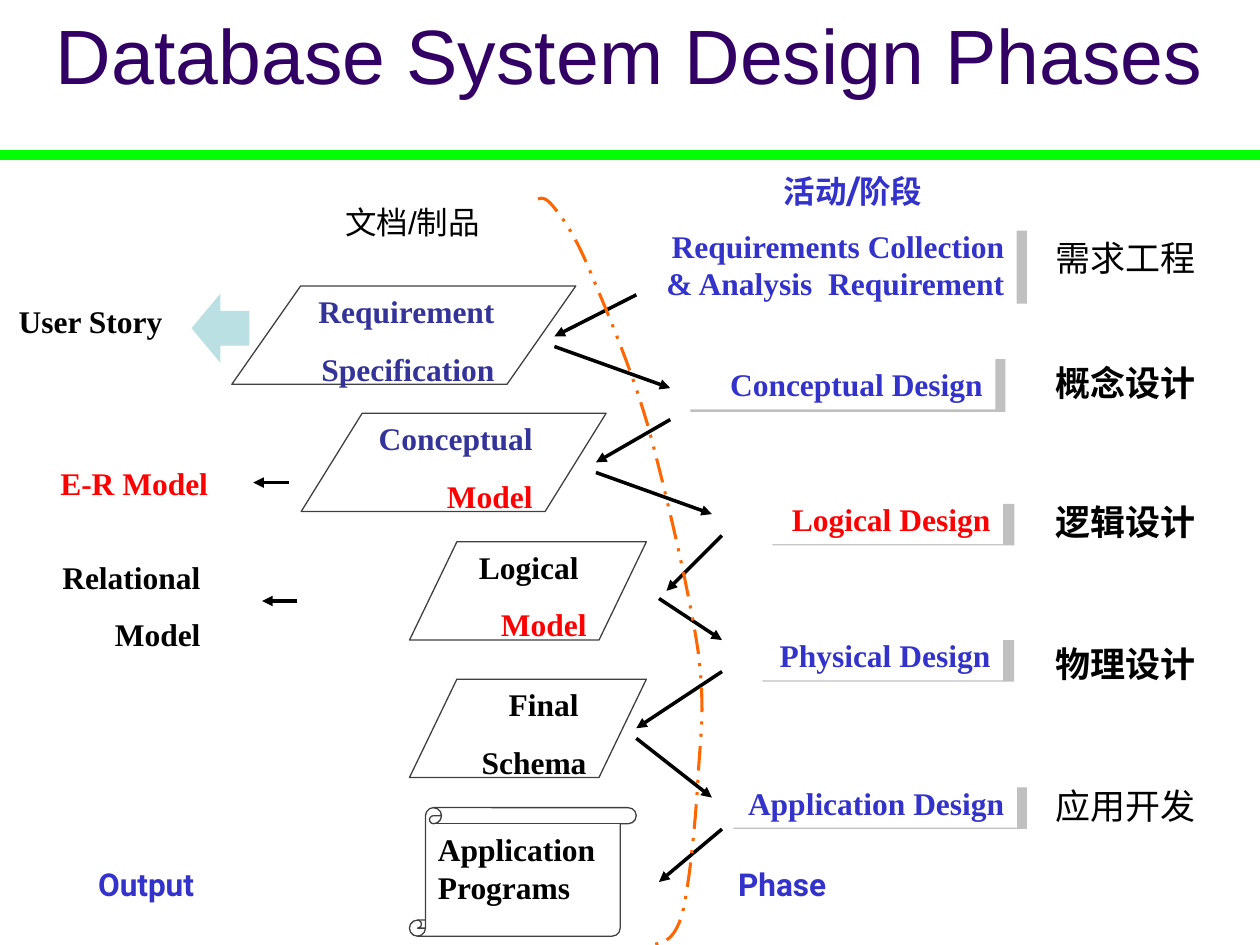
from dataclasses import dataclass

from lxml import etree
from pptx import Presentation
from pptx.dml.color import RGBColor
from pptx.enum.dml import MSO_LINE
from pptx.enum.shapes import MSO_CONNECTOR, MSO_SHAPE
from pptx.enum.text import MSO_ANCHOR, PP_ALIGN
from pptx.oxml.ns import qn
from pptx.util import Inches, Pt

LEFT, MID, RIGHT = PP_ALIGN.LEFT, PP_ALIGN.CENTER, PP_ALIGN.RIGHT
TOP, CENTER = MSO_ANCHOR.TOP, MSO_ANCHOR.MIDDLE
RECT, SCROLL = MSO_SHAPE.RECTANGLE, MSO_SHAPE.VERTICAL_SCROLL
DATA, BACK = MSO_SHAPE.FLOWCHART_DATA, MSO_SHAPE.LEFT_ARROW
STRAIGHT, DASHES = MSO_CONNECTOR.STRAIGHT, MSO_LINE.DASH_DOT_DOT


@dataclass(frozen=True)
class Theme:
    title: str = "320064"
    blue: str = "3333CC"
    navy: str = "333399"
    red: str = "FF0000"
    black: str = "000000"
    white: str = "FFFFFF"
    gray: str = "C0C0C0"
    edge: str = "404040"
    green: str = "00FF00"
    orange: str = "FF6600"
    aqua: str = "BBE0E3"
    serif: str = "Times New Roman"
    sans: str = "Arial"
    label: str = "Roboto"
    head: str = "Montserrat"
    big: int = 44
    mid: int = 20
    body: int = 18
    gap: float = 11.2


T = Theme()


def rgb(code):
    return RGBColor.from_string(code)


def write(shape, lines, font=T.serif, size=T.body, bold=True, align=LEFT,
          anchor=TOP, gap=0):
    """Fill a shape with (text, colour) lines, one paragraph each."""
    frame = shape.text_frame
    frame.word_wrap = True
    frame.vertical_anchor = anchor
    for i, (text, color) in enumerate(lines):
        para = frame.add_paragraph() if i else frame.paragraphs[0]
        para.text = text
        para.alignment = align
        if i and gap:
            para.space_before = Pt(gap)
        para.font.name, para.font.size = font, Pt(size)
        para.font.bold, para.font.color.rgb = bold, rgb(color)


def label(slide, box, lines, **style):
    write(slide.shapes.add_textbox(*map(Inches, box)), lines, **style)


def block(slide, kind, box, fill=None, edge=None):
    shape = slide.shapes.add_shape(kind, *map(Inches, box))
    shape.shadow.inherit = False
    if fill:
        shape.fill.solid()
        shape.fill.fore_color.rgb = rgb(fill)
    else:
        shape.fill.background()
    if edge:
        shape.line.color.rgb = rgb(edge)
        shape.line.width = Pt(0.75)
    else:
        shape.line.fill.background()
    return shape


def rule(slide, ends, color, width, arrow=False):
    line = slide.shapes.add_connector(STRAIGHT, *map(Inches, ends))
    line.line.color.rgb = rgb(color)
    line.line.width = Pt(width)
    if arrow:
        stroke = line.line._get_or_add_ln()
        etree.SubElement(stroke, qn("a:tailEnd"), type="triangle")
    etree.SubElement(line._element.spPr, qn("a:effectLst"))


def header(slide, box):
    x, y, w, h = box
    rule(slide, (x, y + 1.18, x + w, y + 1.18), T.green, 6.25)
    label(slide, box, [("Database System Design Phases", T.title)],
          font=T.sans, size=T.big, bold=False, align=MID, anchor=CENTER)


def phase(slide, box, shade, text, color):
    """Place a white card over a gray one; shade is dx, dy, width, height."""
    x, y = box[:2]
    dx, dy, w, h = shade
    block(slide, RECT, (x + dx, y + dy, w, h), T.gray)
    card = block(slide, RECT, box, T.white)
    write(card, [(text, color)], align=RIGHT)


def phases(slide, box):
    x, y, w, h = box
    rows = (
        (0.07, 0.43, 3, 0.7, (0.08, 0.08, 3, 0.58),
         "Requirements Collection & Analysis  Requirement", T.blue),
        (0.4, 1.53, 2.5, 0.4, (0.08, 0, 2.5, 0.42),
         "Conceptual Design", T.blue),
        (0.96, 2.6, 2, 0.4, (0.17, 0.08, 1.92, 0.33),
         "Logical Design", T.red),
        (0.96, 3.68, 2, 0.4, (0.09, 0.08, 2, 0.33),
         "Physical Design", T.blue),
        (0.75, 4.85, 2.32, 0.4, (0.07, 0.08, 2.33, 0.33),
         "Application Design", T.blue),
    )
    for dx, dy, wide, high, shade, text, color in rows:
        phase(slide, (x + dx, y + dy, wide, high), shade, text, color)
    label(slide, (x + 0.48, y, 2.58, 0.4), [("活动/阶段", T.blue)],
          font=T.head, align=MID)
    label(slide, (x + 0.76, y + h - 0.4, 2.11, 0.4), [("Phase", T.blue)],
          font=T.label)
    names = ((0.51, "需求工程", False), (1.5, "概念设计", True),
             (2.6, "逻辑设计", True), (3.73, "物理设计", True),
             (4.86, "应用开发", False))
    for dy, text, bold in names:
        label(slide, (x + w - 1.72, y + dy, 1.5, 0.44), [(text, T.black)],
              font=T.sans, size=T.mid, bold=bold)


def flow(slide, box):
    """Draw the arrows that zigzag between phases and documents."""
    x, y = box[:2]
    steps = (
        (0.65, 0, 0, 0.33), (0, 0.41, 0.92, 0.74),
        (0.92, 0.99, 0.33, 1.33), (0.33, 1.41, 1.25, 1.74),
        (1.33, 1.91, 0.89, 2.35), (0.83, 2.41, 1.33, 2.74),
        (1.33, 2.99, 0.65, 3.44), (0.65, 3.52, 1.25, 3.99),
        (1.33, 4.24, 0.83, 4.66),
    )
    for x1, y1, x2, y2 in steps:
        rule(slide, (x + x1, y + y1, x + x2, y + y2), T.black, 2, True)


def divide(slide, box):
    """Draw the dashed curve, sampled from joined cubic arcs."""
    x, y = box[:2]
    knots = (
        (0, 0.02), (0.03, 0.01), (0.06, 0), (0.13, 0.09),
        (0.2, 0.18), (0.28, 0.28), (0.4, 0.56),
        (0.52, 0.85), (0.72, 1.3), (0.87, 1.81),
        (1.01, 2.32), (1.2, 3.13), (1.27, 3.6),
        (1.33, 4.07), (1.29, 4.26), (1.27, 4.62),
        (1.25, 4.97), (1.2, 5.49), (1.14, 5.71),
        (1.07, 5.93), (0.97, 5.93), (0.87, 5.94),
    )
    steps = 12
    dots = [knots[0]]
    for i in range(0, len(knots) - 1, 3):
        for n in range(1, steps + 1):
            t = n / steps
            s = 1 - t
            mix = (s ** 3, 3 * s * s * t, 3 * s * t * t, t ** 3)
            dots.append([sum(m * k[a] for m, k in zip(mix, knots[i:i + 4]))
                         for a in (0, 1)])
    dots = [(Inches(x + px), Inches(y + py)) for px, py in dots]
    path = slide.shapes.build_freeform(*dots[0])
    path.add_line_segments(dots[1:], close=False)
    curve = path.convert_to_shape()
    curve.shadow.inherit = False
    curve.fill.background()
    curve.line.color.rgb = rgb(T.orange)
    curve.line.width = Pt(1.75)
    curve.line.dash_style = DASHES


def papers(slide, box):
    x, y, w, h = box
    label(slide, (x + 0.8, y, 1.5, 0.4), [("文档/制品", T.black)],
          font=T.sans, bold=False)
    rows = (
        (0, 0.71, 2.73, "Requirement ", T.navy, "Specification", T.navy),
        (0.55, 1.72, 2.42, "Conceptual ", T.navy, "Model", T.red),
        (1.41, 2.74, 1.88, "Logical ", T.black, "Model", T.red),
        (1.41, 3.83, 1.88, "Final ", T.black, "Schema", T.black),
    )
    for dx, dy, wide, one, hue, two, tint in rows:
        card = block(slide, DATA, (x + dx, y + dy, wide, 0.78), edge=T.edge)
        write(card, [(one, hue), (two, tint)], align=RIGHT, gap=T.gap)
    roll = block(slide, SCROLL, (x + 1.41, y + h - 1.02, 1.8, 1.02),
                 edge=T.edge)
    write(roll, [("Application", T.black), ("Programs", T.black)])


def outputs(slide, box):
    x, y, w, h = box
    label(slide, (x, y, 1.61, 0.4), [("User Story", T.black)])
    block(slide, BACK, (x + 1.47, y - 0.02, 0.46, 0.55), T.aqua)
    label(slide, (x + 0.33, y + 1.28, 1.61, 0.4), [("E-R Model", T.red)])
    label(slide, (x + 0.1, y + 2.03, 1.54, 0.86),
          [("Relational", T.black), ("Model", T.black)],
          align=RIGHT, gap=T.gap)
    for dx, dy in ((1.96, 1.48), (2.03, 2.42)):
        rule(slide, (x + dx + 0.28, y + dy, x + dx, y + dy), T.black, 2, True)
    label(slide, (x + 0.63, y + h - 0.4, 1.5, 0.4), [("Output", T.blue)],
          font=T.label)


def main():
    deck = Presentation()
    deck.slide_width, deck.slide_height = Inches(10), Inches(7.5)
    slide = deck.slides.add_slide(deck.slide_layouts[6])
    header(slide, (0, 0.05, 10, 0.76))
    phases(slide, (5, 1.32, 5, 5.9))
    flow(slide, (4.4, 2.34, 1.33, 4.66))
    divide(slide, (4.27, 1.56, 1.34, 5.94))
    papers(slide, (1.84, 1.56, 3.29, 5.87))
    outputs(slide, (0.05, 2.35, 2.31, 4.87))
    deck.save("out.pptx")


if __name__ == "__main__":
    main()
